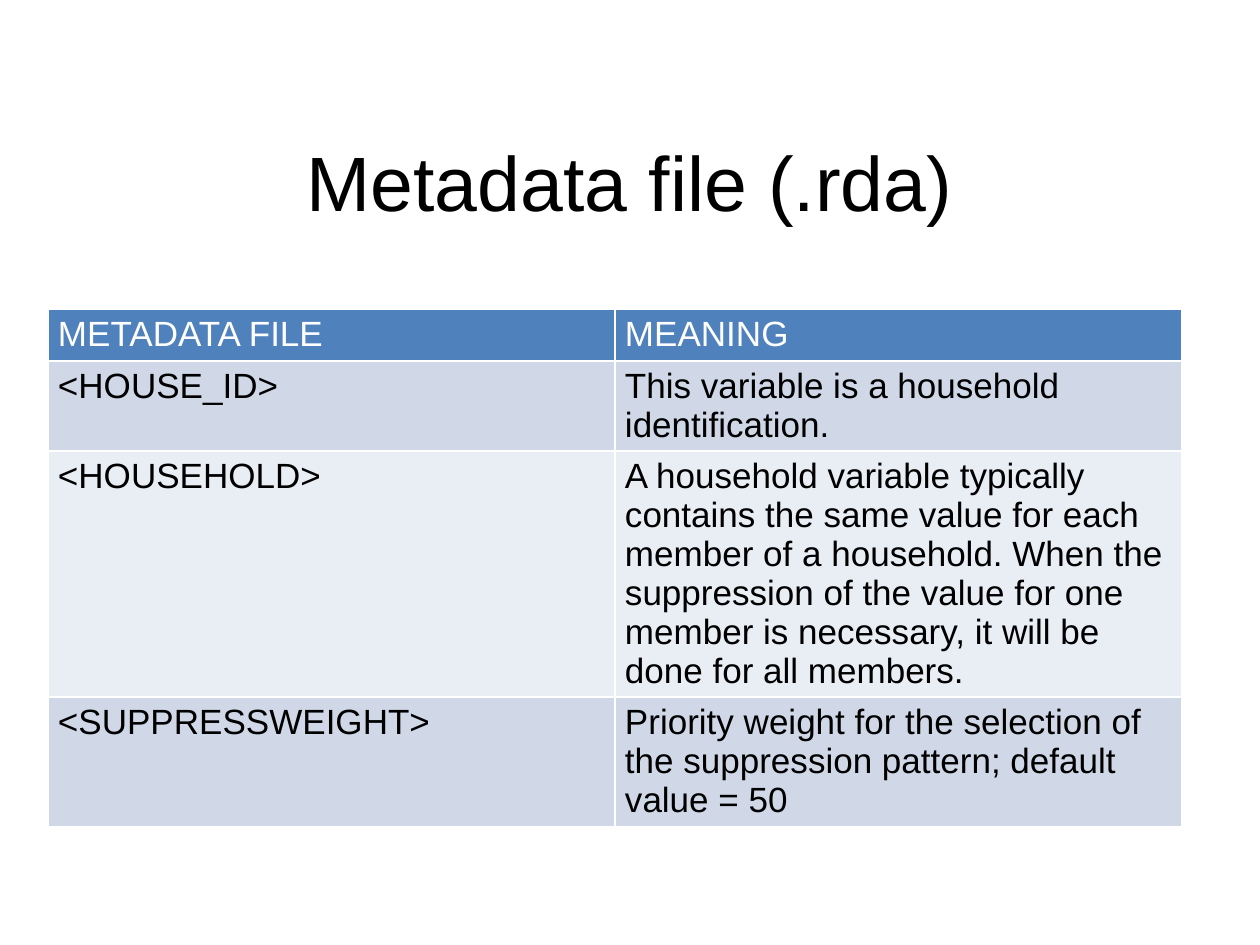
import pptx
import pptx.dml.color
import pptx.enum.text
import pptx.util

RGBColor = pptx.dml.color.RGBColor
BLACK = RGBColor(0x00, 0x00, 0x00)
WHITE = RGBColor(0xFF, 0xFF, 0xFF)
HEADER_BLUE = RGBColor(0x4F, 0x81, 0xBD)
BANDS = (RGBColor(0xD0, 0xD8, 0xE8), RGBColor(0xE9, 0xED, 0xF4))

ROWS = [
    ("METADATA FILE", "MEANING"),
    ("<HOUSE_ID>", "This variable is a household identification."),
    ("<HOUSEHOLD>", "A household variable typically contains the same value for each "
                    "member of a household. When the suppression of the value for one "
                    "member is necessary, it will be done for all members."),
    ("<SUPPRESSWEIGHT>", "Priority weight for the selection of the suppression pattern; "
                         "default value = 50"),
]


class Page:
    """Holds the style and the current slide."""

    font_name = "Arial"
    scale = 914400 / 126

    def __init__(self, deck):
        self.slide = deck.slides.add_slide(deck.slide_layouts[5])

    @classmethod
    def px(cls, length):
        return pptx.util.Emu(round(length * cls.scale))

    def style(self, para, size, color):
        font = para.font
        font.name = self.font_name
        font.size = pptx.util.Pt(size)
        font.bold = False
        font.color.rgb = color

    def title(self, text, *bounds):
        box = self.slide.shapes.title
        box.left, box.top, box.width, box.height = map(self.px, bounds)
        box.text_frame.text = text
        box.text_frame.vertical_anchor = pptx.enum.text.MSO_ANCHOR.MIDDLE
        para = box.text_frame.paragraphs[0]
        para.alignment = pptx.enum.text.PP_ALIGN.CENTER
        self.style(para, 44, BLACK)

    def table(self, rows, left, top, width, row_height):
        bounds = map(self.px, (left, top, width, row_height * len(rows)))
        grid = self.slide.shapes.add_table(len(rows), len(rows[0]), *bounds).table
        for row, texts in enumerate(rows):
            fill = BANDS[(row - 1) % 2] if row else HEADER_BLUE
            for column, text in enumerate(texts):
                self.cell(grid.cell(row, column), text, fill, BLACK if row else WHITE)

    def cell(self, cell, text, fill, color):
        cell.text = text
        cell.margin_left = cell.margin_right = self.px(10)
        cell.margin_top = cell.margin_bottom = self.px(6)
        cell.fill.solid()
        cell.fill.fore_color.rgb = fill
        self.style(cell.text_frame.paragraphs[0], 20, color)


def main():
    deck = pptx.Presentation()
    deck.slide_width, deck.slide_height = Page.px(1260), Page.px(945)
    page = Page(deck)
    page.title("Metadata file (.rda)", 63, 96, 1134, 169)
    page.table(ROWS, 48, 309, 1134, 52)
    deck.save("out.pptx")


if __name__ == "__main__":
    main()
